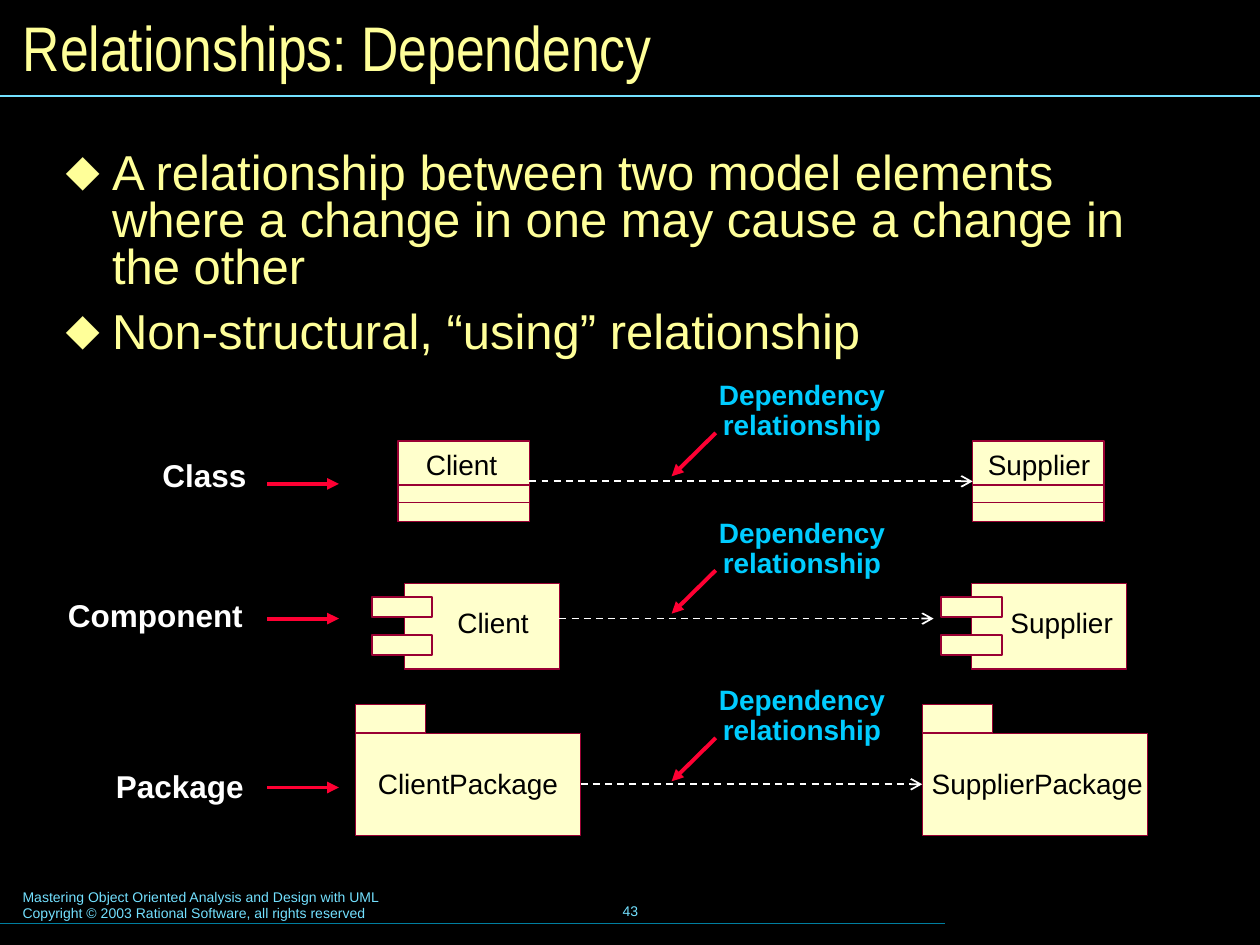
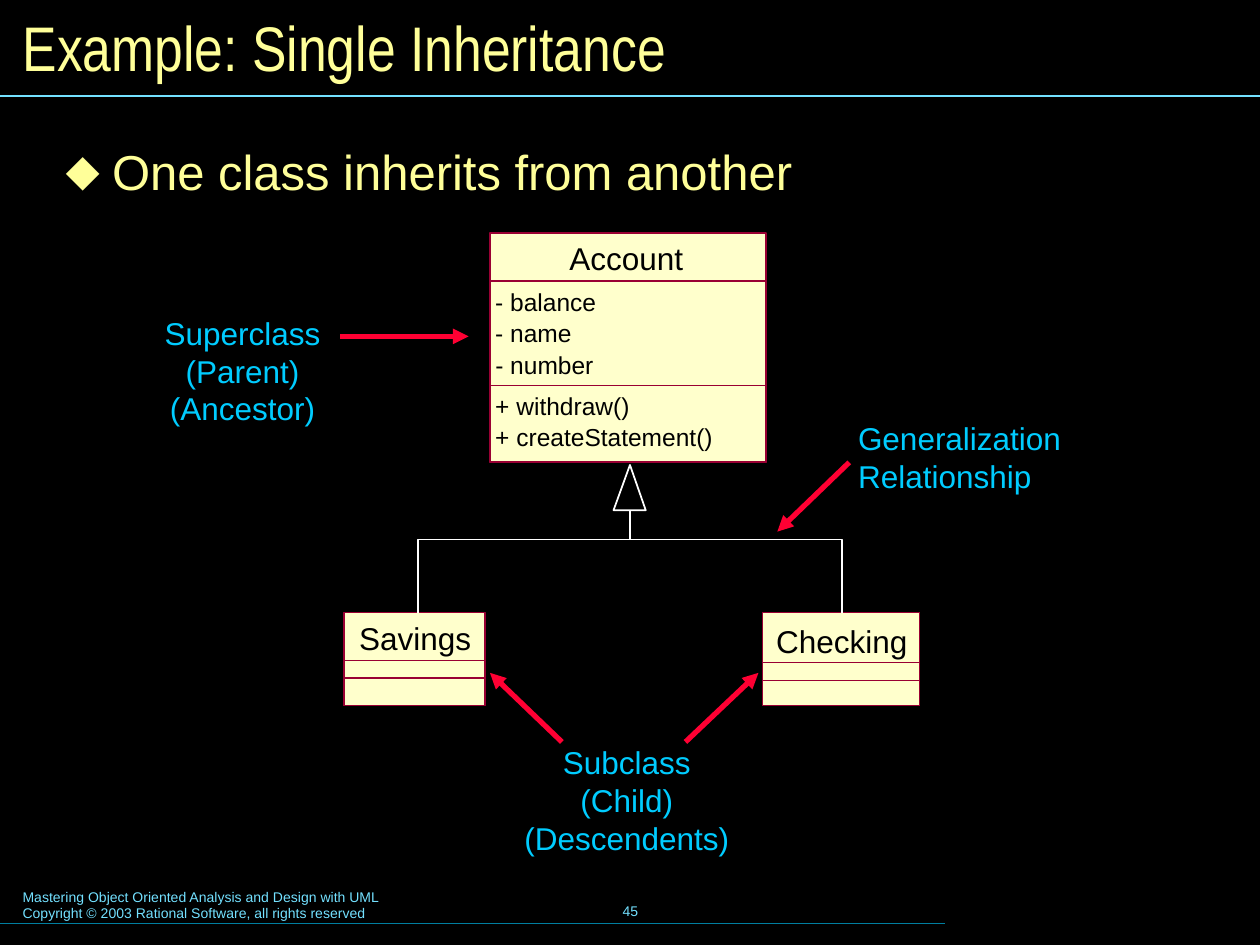
import pptx
import pptx.util
import lxml.etree
from pptx.dml.color import RGBColor
from pptx.enum.dml import MSO_LINE
from pptx.enum.shapes import MSO_CONNECTOR, MSO_SHAPE
from pptx.enum.text import MSO_ANCHOR, MSO_AUTO_SIZE, PP_ALIGN
from pptx.oxml.ns import qn

Pt = pptx.util.Pt

BLACK, WHITE, CREAM, YELLOW = "000000", "FFFFFF", "FFFFCC", "FFFF99"
MAROON, RED, BLUE, SKY, TEAL = "990033", "FF0033", "00CCFF", "73E1FF", "007E9F"


def paint(fill, color):
    """Fill a shape, line, font or background; no colour means no fill."""
    if color is None:
        fill.background()
    else:
        fill.solid()
        fill.fore_color.rgb = RGBColor.from_string(color)


def write(frame, lines, style):
    """Put lines of text into a frame, one paragraph each."""
    side, top = style["margins"]
    frame_format = {
        "auto_size": MSO_AUTO_SIZE.NONE,
        "word_wrap": style.get("wrap", True),
        "vertical_anchor": style.get("anchor", MSO_ANCHOR.TOP),
        "margin_left": Pt(side), "margin_right": Pt(side),
        "margin_top": Pt(top), "margin_bottom": Pt(top),
    }
    for name, value in frame_format.items():
        setattr(frame, name, value)
    for index, line in enumerate(lines):
        para = frame.paragraphs[0] if index == 0 else frame.add_paragraph()
        para.text = line
        para.alignment = style.get("align", PP_ALIGN.LEFT)
        para.space_before = Pt(style.get("before", 0) if index else 0)
        spacing = style.get("spacing", 1)
        para.line_spacing = style.get("next_spacing", spacing) if index else spacing
        if "bullet" in style:
            properties = para._p.get_or_add_pPr()
            properties.set("marL", str(Pt(26.6)))
            properties.set("indent", str(-Pt(26.6)))
            bullet_color = lxml.etree.SubElement(properties, qn("a:buClr"))
            lxml.etree.SubElement(bullet_color, qn("a:srgbClr"), val=style["color"])
            lxml.etree.SubElement(properties, qn("a:buChar"), char=style["bullet"])
        font_format = {"name": style.get("font", "Arial"), "size": Pt(style["size"]),
                       "bold": style.get("bold", False)}
        for name, value in font_format.items():
            setattr(para.font, name, value)
        paint(para.font.fill, style["color"])


# Text styles
TITLE = {"margins": (7.2, 3.6), "size": 36, "color": YELLOW, "font": "Arial Narrow",
         "anchor": MSO_ANCHOR.MIDDLE}
BODY = {"margins": (8.64, 4.32), "size": 28, "color": YELLOW, "bullet": "⬥",
        "spacing": 0.8, "before": 10.5}
FOOTER = {"margins": (7.2, 3.6), "size": 8, "color": SKY}
NUMBER = {**FOOTER, "anchor": MSO_ANCHOR.MIDDLE, "align": PP_ALIGN.CENTER, "wrap": False}
ROW_LABEL = {"margins": (8.64, 4.32), "size": 18, "color": WHITE, "bold": True}
NOTE = {"margins": (8.64, 4.32), "size": 18, "color": BLUE}
CENTRED_NOTE = {**NOTE, "align": PP_ALIGN.CENTER}
LINK_LABEL = {**CENTRED_NOTE, "size": 16, "bold": True, "before": 10, "next_spacing": 0.25}
NAME = {"margins": (0, 0), "size": 16, "color": BLACK, "wrap": False}
CLASS_NAME = {**NAME, "size": 18}
MEMBER = {**NAME, "size": 14}

# Line styles: colour, weight, arrowhead, dash
RULE = (SKY, 0.75, None, None)
FOOTER_RULE = (TEAL, 0.75, None, None)
LINK = (WHITE, 1, "arrow", MSO_LINE.DASH)
STEM = (WHITE, 1, None, None)
POINTER = (RED, 2.25, "triangle", None)
THICK_POINTER = (RED, 3, "triangle", None)

# Dependency slide: boxes are (x, y, width, height, fill, line weight)
boxes, texts, lines, joins = [], [], [], {}
for class_x in (227.5, 555.84):
    boxes += [(class_x, 252, 75, 46.1, CREAM, 0),
              (class_x, 277.2, 75, 20.9, None, 0),
              (class_x, 287.3, 75, 10.8, None, 0)]
for body_x, lug_x in ((231.1, 212.4), (555.1, 537.8)):
    boxes.append((body_x, 333.4, 88.6, 49, CREAM, 1))
    boxes += [(lug_x, lug_y, 34.6, 11.5, CREAM, 1) for lug_y in (341.3, 362.9)]
for package_x in (203, 527):
    boxes += [(package_x, 419, 128.9, 58.3, CREAM, 0),
              (package_x, 402.5, 40.3, 16.2, CREAM, 0.75)]

for name, x, y, width in (
    ("Client", 243.4, 255.6, 41), ("Supplier", 564.5, 255.6, 58.3),
    ("Client", 261.4, 346.3, 41), ("Supplier", 577.4, 346.3, 58.3),
    ("ClientPackage", 216, 437.8, 103), ("SupplierPackage", 532.4, 437.8, 121),
):
    texts.append((x, y, width, 19.4, [name], NAME))

# Each row: label, its place, pointer height, dependency line, boxes joined
for label, x, y, width, pointer_y, link_y, start, end, joined in (
    ("Class", 84.2, 256.3, 70.6, 276.5, 275, 302.5, 555.84, (0, 3)),
    ("Component", 30.2, 336.2, 121, 353.5, 353.5, 319.7, 533.5, None),
    ("Package", 57.6, 434.2, 102.2, 450, 449.3, 331.9, 527, (12, 14)),
):
    texts.append((x, y, width, 30.2, [label], ROW_LABEL))
    note_y = link_y - 63.4
    texts.append((394.6, note_y, 127.4, 42.5, ["Dependency", "relationship"], LINK_LABEL))
    if joined:
        joins[len(lines)] = joined
    lines += [(start, link_y, end, link_y, LINK),
              (152.6, pointer_y, 193.7, pointer_y, POINTER),
              (409, note_y + 35.8, 383.8, note_y + 60.6, POINTER)]

dependency = {
    "title": "Relationships: Dependency", "number": "43",
    "bullets": ["A relationship between two model elements where a change in one "
                "may cause a change in the other",
                "Non-structural, “using” relationship"],
    "body_size": (657.4, 149), "boxes": boxes, "texts": texts,
    "lines": lines, "joins": joins, "outlines": [],
}

# Inheritance slide
boxes = [(280, y, 157.7, 264 - y, CREAM, 1) for y in (133.2, 160.7, 220.3)]
for x, width, dividers in ((196.6, 80.6, (377.3, 387.4)), (435.6, 90, (378.7, 388.8))):
    boxes.append((x, 350, width, 53, CREAM, 0))
    boxes += [(x, y, width, 403 - y, None, 0) for y in dividers]

texts = [
    (67.7, 175, 141.8, 73.4, ["Superclass (Parent) (Ancestor)"], CENTRED_NOTE),
    (287.3, 420.5, 141.8, 73.4, ["Subclass (Child) (Descendents)"], CENTRED_NOTE),
    (481.7, 235.4, 141.8, 51.8, ["Generalization Relationship"], NOTE),
    (325.4, 136.8, 64.8, 21.6, ["Account"], CLASS_NAME),
    (205.2, 353.5, 64, 21.6, ["Savings"], CLASS_NAME),
    (443.5, 355.7, 74.9, 21.6, ["Checking"], CLASS_NAME),
]
for first_y, members in (
    (164.2, (("- balance", 57.6), ("- name", 44), ("- number", 56.2))),
    (223.4, (("+ withdraw()", 77), ("+ createStatement()", 124.6))),
):
    for index, (member, width) in enumerate(members):
        texts.append((283, first_y + 17.8 * index, width, 16.6, [member], MEMBER))

inheritance = {
    "title": "Example: Single Inheritance", "number": "45",
    "bullets": ["One class inherits from another"],
    "body_size": (635, 96.5), "boxes": boxes, "texts": texts, "joins": {},
    "lines": [
        (360, 308.2, 360, 291.6, STEM),
        (194.4, 192.2, 267.8, 192.2, THICK_POINTER),
        (321.1, 424, 280, 384.5, THICK_POINTER),
        (391.7, 424, 433.4, 384.5, THICK_POINTER),
        (485.3, 264.2, 444.2, 303.8, THICK_POINTER),
    ],
    "outlines": [
        ([(239, 350), (239, 308.2), (481, 308.2), (481, 350)], False),
        ([(360, 265.7), (369, 291.6), (350.6, 291.6)], True),
    ],
}

deck = pptx.Presentation()
deck.slide_width, deck.slide_height = Pt(720), Pt(540)
paint(deck.slide_master.background.fill, BLACK)

# Parts that every slide carries
shared_lines = [(0, 54.9, 720, 54.9, RULE), (0, 527.8, 540, 527.8, FOOTER_RULE)]
footer = (5.8, 504, 367.2, 26.6,
          ["Mastering Object Oriented Analysis and Design with UML",
           "Copyright © 2003 Rational Software, all rights reserved"], FOOTER)

for content in (dependency, inheritance):
    page = deck.slides.add_slide(deck.slide_layouts[1])

    # Title and list
    for holder, place, words, style in (
        (page.shapes.title, (5.8, 5.8, 708.5, 41.8), [content["title"]], TITLE),
        (page.placeholders[1], (28.8, 82.8, *content["body_size"]), content["bullets"], BODY),
    ):
        for side, length in zip(("left", "top", "width", "height"), place):
            setattr(holder, side, Pt(length))
        write(holder.text_frame, words, style)

    # Rectangles
    drawn = []
    for *place, color, weight in content["boxes"]:
        box = page.shapes.add_shape(MSO_SHAPE.RECTANGLE, *map(Pt, place))
        box.shadow.inherit = False
        paint(box.fill, color)
        paint(box.line.fill, MAROON)
        box.line.width = Pt(weight)
        drawn.append(box)

    # Inheritance fork and arrowhead
    for points, closed in content["outlines"]:
        corners = [(Pt(x), Pt(y)) for x, y in points]
        builder = page.shapes.build_freeform(*corners[0])
        builder.add_line_segments(corners[1:], close=closed)
        outline = builder.convert_to_shape()
        outline.shadow.inherit = False
        paint(outline.fill, None)
        paint(outline.line.fill, WHITE)
        outline.line.width = Pt(1)

    # Straight lines and arrows
    for index, (*ends, style) in enumerate(content["lines"] + shared_lines):
        color, weight, head, dash = style
        line = page.shapes.add_connector(MSO_CONNECTOR.STRAIGHT, *map(Pt, ends))
        if index in content["joins"]:
            begin, end = content["joins"][index]
            line.begin_connect(drawn[begin], 3)
            line.end_connect(drawn[end], 1)
        paint(line.line.fill, color)
        line.line.width = Pt(weight)
        if dash:
            line.line.dash_style = dash
        if head:
            lxml.etree.SubElement(line.line._get_or_add_ln(), qn("a:tailEnd"), type=head)
        lxml.etree.SubElement(line._element.spPr, qn("a:effectLst"))

    # Labels, footer and page number
    number = (246.2, 502.6, 228.2, 36, [content["number"]], NUMBER)
    for *place, words, style in content["texts"] + [footer, number]:
        box = page.shapes.add_textbox(*map(Pt, place))
        write(box.text_frame, words, style)

deck.save("out.pptx")
